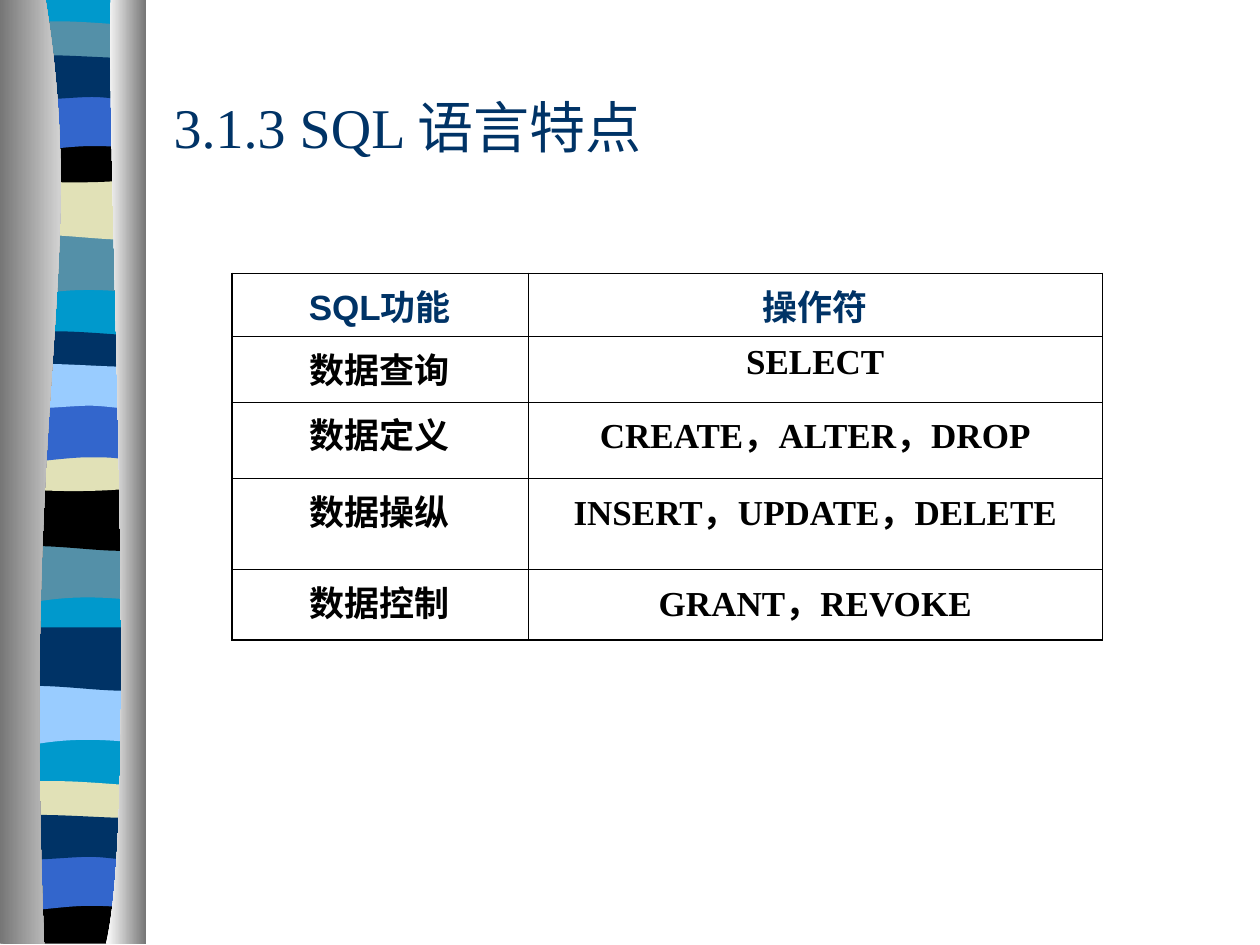
from lxml import etree
from pptx import Presentation
from pptx.dml.color import RGBColor
from pptx.enum.text import MSO_ANCHOR, PP_ALIGN
from pptx.oxml.ns import qn
from pptx.util import Inches, Pt

MIDDLE, CENTER = MSO_ANCHOR.MIDDLE, PP_ALIGN.CENTER
SERIF, SANS = "Times New Roman", "Arial"
NAVY, BLUE, TEAL, SAND, SKY = "003366", "3366CC", "5490A8", "E1E1B7", "99CCFF"
BLACK, CYAN, GREY, WHITE = "000000", "0099CC", "767676", "FFFFFF"

TITLE = "3.1.3 SQL 语言特点"
ROWS = [
    ("SQL功能", "操作符"),
    ("数据查询", "SELECT"),
    ("数据定义", "CREATE，ALTER，DROP"),
    ("数据操纵", "INSERT，UPDATE，DELETE"),
    ("数据控制", "GRANT，REVOKE"),
]
COLS = [2.35, 4.56]
HEIGHTS = [0.5, 0.52, 0.61, 0.72, 0.56]

# Outlines: a pair is a corner, six numbers are a Bezier curve
W = 1.07
FORMS = {
    "wave": [(W, 0), (W, 0.47), (0.33, 0.38, 0.18, 0.54, 0, 0.47), (0, 0)],
    "flag": [(W, 0), (W, 0.48), (0.89, 0.55, 0.33, 0.42, 0, 0.48), (0, 0)],
    "sash": [(W, 0.05), (W, 0.29), (0.89, 0.33, 0.18, 0.33, 0, 0.29), (0, 0.05),
             (0.07, 0, 0.23, 0.01, 0.41, 0.01), (0.59, 0.01, 0.93, 0.04, W, 0.05)],
    "bowl": [(W, 0), (W, 0.33), (0.89, 0.38, 0.18, 0.38, 0, 0.33), (0, 0),
             (0.66, 0.05, 0.85, 0, W, 0)],
    "arch": [(W, 0), (W, 0.47), (0.9, 0.42, 0.83, 0.42, 0.65, 0.42),
             (0.48, 0.42, 0.16, 0.47, 0, 0.47), (0, 0)],
    "roll": [(W, 0.05), (W, 0.36), (1, 0.41, 0.83, 0.36, 0.66, 0.36),
             (0.48, 0.36, 0.11, 0.41, 0, 0.36), (0, 0.05),
             (0.15, 0, 0.72, 0.05, 0.9, 0.05), (1.08, 0.05, 1.03, 0.05, W, 0.05)],
    "foot": [(W, 0), (W, 0.37), (0, 0.37), (0, 0), (0.66, 0.05, 0.85, 0, W, 0)],
    "base": [(W, 0), (W, 7.48), (0, 7.48), (0, 0)],
}
# Form, left, top, colour, from back to front
BANDS = [
    ("base", 0.07, -0.01, CYAN),
    ("wave", 0.06, 1.86, TEAL), ("flag", 0.07, 1.4, SAND),
    ("sash", 0.07, 0.16, TEAL), ("bowl", 0.06, 1.08, BLACK),
    ("arch", 0.06, 0.74, BLUE), ("roll", 0.07, 0.41, NAVY),
    ("wave", 0.05, 4.3, TEAL), ("flag", 0.05, 3.87, BLACK),
    ("sash", 0.05, 2.62, NAVY), ("bowl", 0.05, 3.53, SAND),
    ("arch", 0.05, 3.21, BLUE), ("roll", 0.05, 2.86, SKY),
    ("wave", 0.05, 5.43, SKY), ("flag", 0.06, 4.98, NAVY),
    ("sash", 0.05, 6.19, SAND), ("foot", 0.05, 7.12, BLACK),
    ("arch", 0.04, 6.77, BLUE), ("roll", 0.05, 6.44, NAVY),
]
# Outline and the two colours from left to right
SIDES = [
    ([(0.36, -0.01), (0.71, 2.16, 0.17, 2.96, 0.35, 7.49), (0, 7.49), (0, -0.01)],
     (GREY, WHITE)),
    ([(0.88, -0.01), (0.84, 1.25, 1.11, 6.46, 0.84, 7.49), (1.16, 7.49), (1.16, 0)],
     (WHITE, GREY)),
]


def rgb(code):
    return RGBColor.from_string(code)


def draw(shapes, form, left=0, top=0):
    pts = [(Inches(left + part[i]), Inches(top + part[i + 1]))
           for part in form for i in range(0, len(part), 2)]
    pen = shapes.build_freeform(*pts[0])
    pen.add_line_segments(pts[1:], close=True)
    shape = pen.convert_to_shape()
    # Merge each three steps of a curve into one Bezier segment
    steps = iter(list(shape._element.iter(qn("a:lnTo"))))
    for part in form[1:]:
        first = next(steps)
        if len(part) == 6:
            first.tag = qn("a:cubicBezTo")
            for step in (next(steps), next(steps)):
                first.append(step[0])
                step.getparent().remove(step)
    shape.shadow.inherit = False
    shape.line.fill.background()
    return shape


def style(par, size, font, color, bold=False):
    for run in par.runs:
        run.font.size, run.font.name, run.font.bold = Pt(size), font, bold
        run.font.color.rgb = rgb(color)


def edge(cell, widths):
    props = cell._tc.get_or_add_tcPr()
    for i, (side, width) in enumerate(zip("LRTB", widths)):
        line = etree.Element(qn(f"a:ln{side}"), w=str(Pt(width)))
        fill = etree.SubElement(line, qn("a:solidFill"))
        etree.SubElement(fill, qn("a:srgbClr"), val=BLACK)
        props.insert(i, line)


deck = Presentation()
deck.slide_width, deck.slide_height = Inches(10), Inches(7.5)
slide = deck.slides.add_slide(deck.slide_layouts[6])

# Striped ribbon between two shaded curtains
ribbon = slide.shapes.add_group_shape().shapes
for name, left, top, color in BANDS:
    band = draw(ribbon, FORMS[name], left, top)
    band.fill.solid()
    band.fill.fore_color.rgb = rgb(color)
for form, colors in SIDES:
    side = draw(ribbon, form)
    side.fill.gradient()
    side.fill.gradient_angle = 0
    for stop, color in zip(side.fill.gradient_stops, colors):
        stop.color.rgb = rgb(color)

# Title
box = slide.shapes.add_textbox(Inches(1.28), Inches(0.5), Inches(8.5), Inches(1))
frame = box.text_frame
frame.word_wrap, frame.vertical_anchor = True, MIDDLE
frame.text = TITLE
style(frame.paragraphs[0], 32, SERIF, NAVY)

# Table of functions and operators
table = slide.shapes.add_table(len(ROWS), len(COLS), Inches(1.84), Inches(2.17),
                               Inches(sum(COLS)), Inches(sum(HEIGHTS))).table
table.first_row = table.horz_banding = False
for col, width in zip(table.columns, COLS):
    col.width = Inches(width)
for r, (texts, height) in enumerate(zip(ROWS, HEIGHTS)):
    table.rows[r].height = Inches(height)
    for c, text in enumerate(texts):
        cell = table.cell(r, c)
        cell.text_frame.text = text
        par = cell.text_frame.paragraphs[0]
        par.alignment, par.space_before = CENTER, Pt(5)
        style(par, 20, SERIF if r and c else SANS, BLACK if r else NAVY, True)
        cell.fill.background()
        outer = (c == 0, c == len(COLS) - 1, r == 0, r == len(ROWS) - 1)
        edge(cell, [1.08 if rim else 0.45 for rim in outer])

deck.save("out.pptx")
